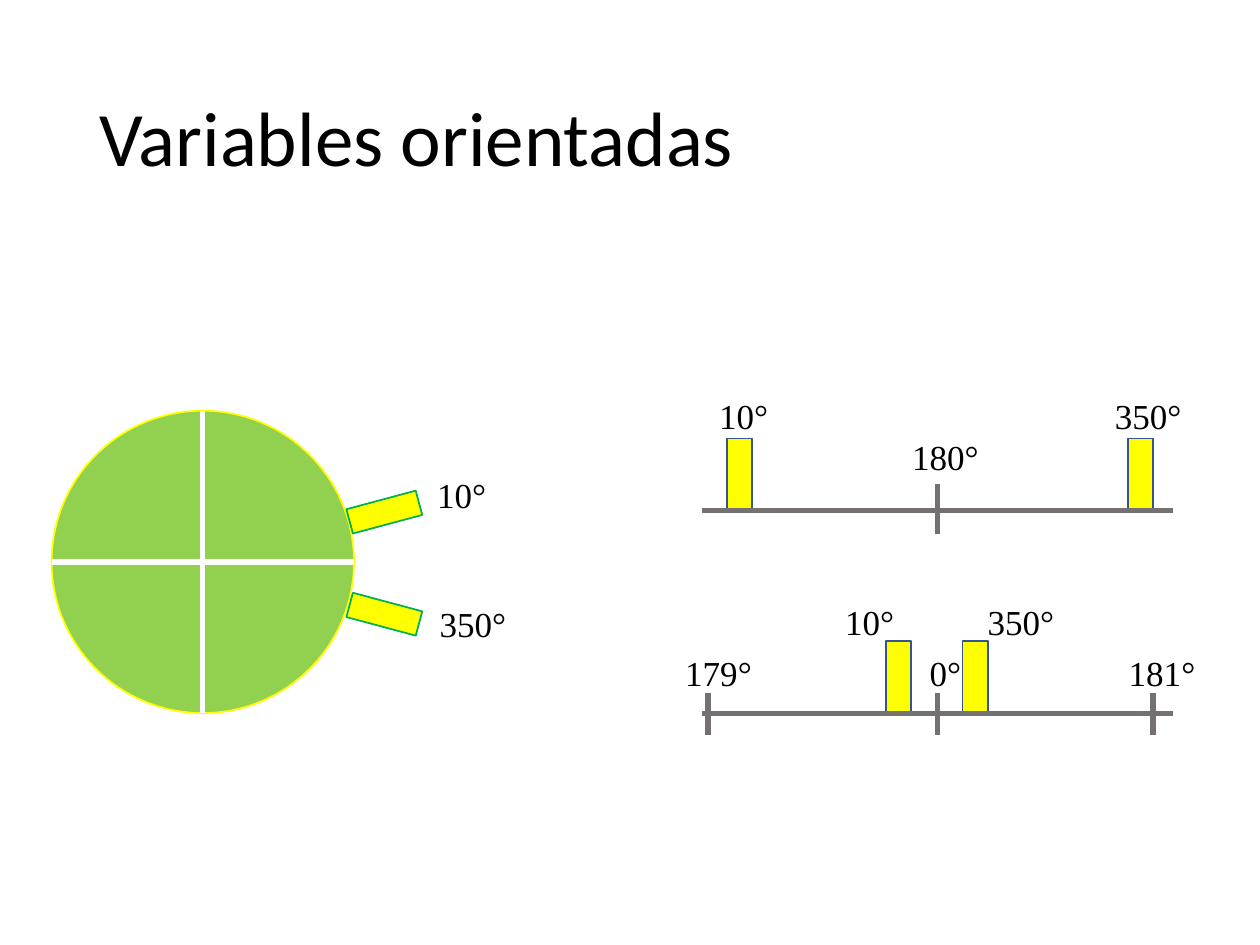
from lxml import etree
from pptx import Presentation
from pptx.dml.color import RGBColor
from pptx.enum.shapes import MSO_CONNECTOR, MSO_SHAPE
from pptx.enum.text import MSO_ANCHOR
from pptx.oxml.ns import qn
from pptx.util import Inches, Pt

BLACK = RGBColor(0x00, 0x00, 0x00)
WHITE = RGBColor(0xFF, 0xFF, 0xFF)
YELLOW = RGBColor(0xFF, 0xFF, 0x00)
LIGHT_GREEN = RGBColor(0x92, 0xD0, 0x50)
GREEN = RGBColor(0x00, 0xB0, 0x50)
BLUE = RGBColor(0x32, 0x54, 0x91)
GRAY = RGBColor(0x76, 0x71, 0x71)

BAR_WIDTH, BAR_HEIGHT = 0.2, 0.57
LABEL_HEIGHT = 0.44


def add_text(slide, text, left, top, width, height, font="Times New Roman", size=20):
    box = slide.shapes.add_textbox(Inches(left), Inches(top), Inches(width), Inches(height))
    frame = box.text_frame
    frame.word_wrap = True
    paragraph = frame.paragraphs[0]
    paragraph.text = text
    paragraph.font.name = font
    paragraph.font.size = Pt(size)
    paragraph.font.color.rgb = BLACK
    return frame


def add_figure(slide, kind, left, top, width, height, fill, line):
    shape = slide.shapes.add_shape(kind, Inches(left), Inches(top), Inches(width), Inches(height))
    shape.shadow.inherit = False
    shape.fill.solid()
    shape.fill.fore_color.rgb = fill
    shape.line.color.rgb = line
    shape.line.width = Pt(1)
    return shape


def add_line(slide, x1, y1, x2, y2, color):
    line = slide.shapes.add_connector(
        MSO_CONNECTOR.STRAIGHT, Inches(x1), Inches(y1), Inches(x2), Inches(y2))
    line.line.color.rgb = color
    line.line.width = Pt(3)
    etree.SubElement(line._element.spPr, qn("a:effectLst"))


def add_title(slide, left, top, width, height):
    frame = add_text(slide, "Variables orientadas", left, top, width, height, "Calibri", 44)
    frame.vertical_anchor = MSO_ANCHOR.MIDDLE
    frame.paragraphs[0].line_spacing = 0.9


def add_circle(slide, left, top, size):
    """Quartered circle with two tilted bars on its right edge."""
    middle_x, middle_y = left + size / 2, top + size / 2
    add_figure(slide, MSO_SHAPE.OVAL, left, top, size, size, LIGHT_GREEN, YELLOW)
    add_line(slide, left, middle_y, left + size, middle_y, WHITE)
    add_line(slide, middle_x, top, middle_x, top + size, WHITE)
    # Bars: label, bar offset, rotation, label offsets
    for text, bar_top, rotation, label_left, label_top in (
            ("10°", 0.52, 75, 2.96, 0.45),
            ("350°", 1.33, 105, 2.98, 1.47)):
        bar = add_figure(slide, MSO_SHAPE.RECTANGLE, left + 2.54, top + bar_top,
                         BAR_WIDTH, BAR_HEIGHT, YELLOW, GREEN)
        bar.rotation = rotation
        add_text(slide, text, left + label_left, top + label_top, 0.95, LABEL_HEIGHT)


def add_axis(slide, left, axis_y, width, bars, ticks, tick_up, tick_down, labels):
    """Number line; all horizontal offsets are measured from its left end."""
    for offset in bars:
        add_figure(slide, MSO_SHAPE.RECTANGLE, left + offset, axis_y - BAR_HEIGHT,
                   BAR_WIDTH, BAR_HEIGHT, YELLOW, BLUE)
    add_line(slide, left, axis_y, left + width, axis_y, GRAY)
    for offset in ticks:
        add_line(slide, left + offset, axis_y - tick_up, left + offset, axis_y + tick_down, GRAY)
    for text, offset, rise in labels:
        add_text(slide, text, left + offset, axis_y - rise, 1.1, LABEL_HEIGHT)


def main():
    presentation = Presentation()
    presentation.slide_width, presentation.slide_height = Inches(10), Inches(7.5)
    slide = presentation.slides.add_slide(presentation.slide_layouts[6])

    add_title(slide, 0.69, 0.4, 8.62, 1.45)
    add_circle(slide, 0.41, 3.26, 2.4)

    # Axis centred on 180°
    add_axis(slide, 5.57, 4.05, 3.74, bars=(0.2, 3.38), ticks=(1.87,),
             tick_up=0.21, tick_down=0.19,
             labels=(("10°", 0.04, 0.97), ("180°", 1.57, 0.64), ("350°", 3.18, 0.97)))
    # Axis centred on 0°
    add_axis(slide, 5.57, 5.66, 3.74, bars=(1.46, 2.07), ticks=(0.05, 1.87, 3.58),
             tick_up=0.16, tick_down=0.17,
             labels=(("179°", -0.23, 0.54), ("10°", 1.04, 0.94), ("0°", 1.71, 0.54),
                     ("350°", 2.17, 0.94), ("181°", 3.29, 0.54)))

    presentation.save("out.pptx")


if __name__ == "__main__":
    main()
